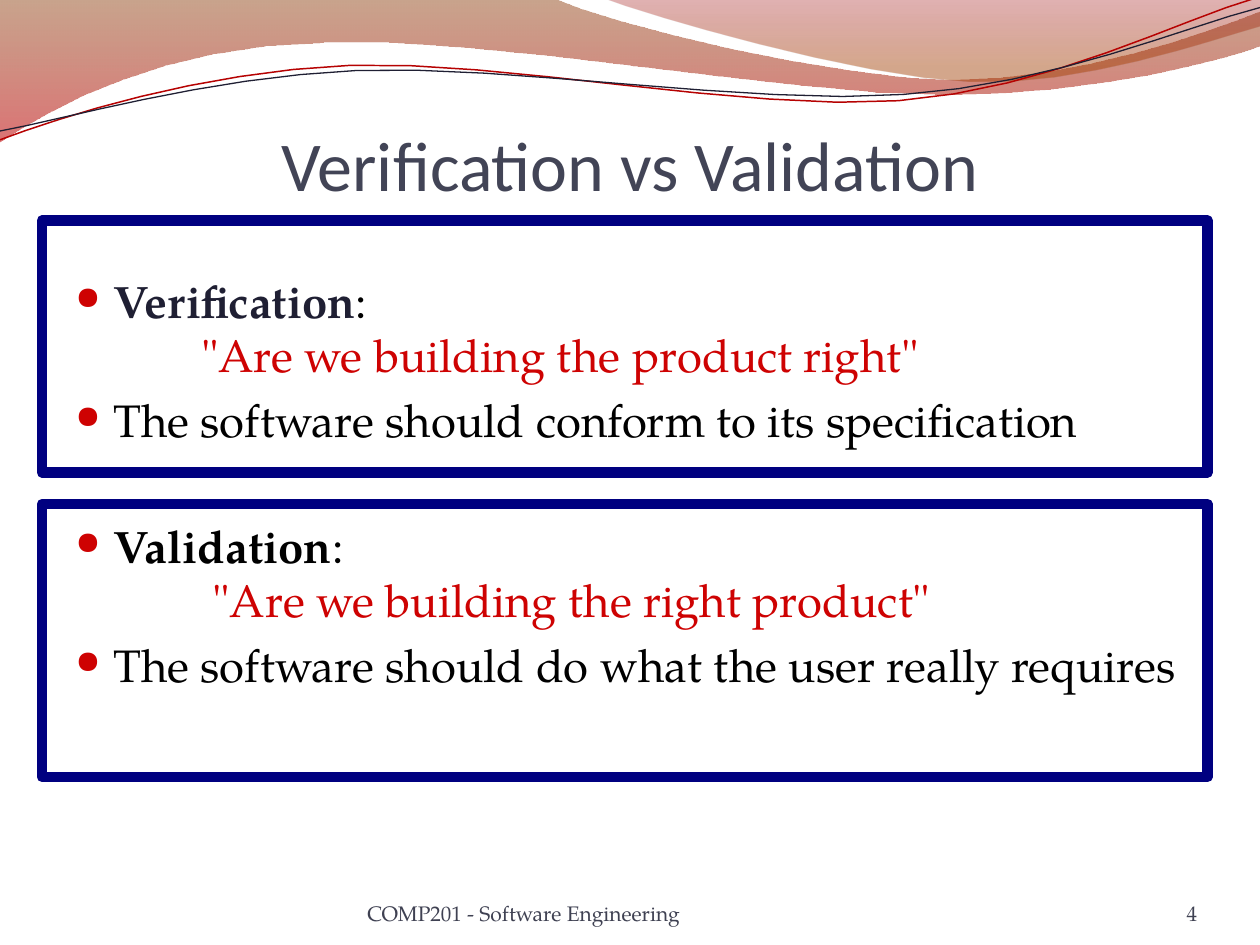
import pptx
import pptx.util
import pptx.dml.color
import pptx.enum.shapes
import pptx.enum.text
import pptx.oxml
import pptx.oxml.ns
import lxml.etree

deck = pptx.Presentation()
deck.slide_width = pptx.util.Inches(10)
deck.slide_height = pptx.util.Inches(7.5)
column = deck.slide_width / 120
row = deck.slide_height / 90
slide = deck.slides.add_slide(deck.slide_layouts[5])
drawing = slide.shapes
serif = "TeX Gyre Pagella"
Pt = pptx.util.Pt
align = pptx.enum.text.PP_ALIGN
bottom = pptx.enum.text.MSO_ANCHOR.BOTTOM


def hue(code):
    return pptx.dml.color.RGBColor.from_string(code)


def write(paragraph, words, code, **formats):
    run = paragraph.add_run()
    run.text = words
    run.font.color.rgb = hue(code)
    for name, value in formats.items():
        setattr(run.font, name, value)


waves = [
    dict(start=(-0.01, -0.01), steps=[
        (4.4, -0.01), (4.76, 0.17, 6.64, 0.63, 7.58, 0.63),
        (8.53, 0.63, 9.58, 0.26, 10, 0.09), (10.01, 0.36),
        (9.83, 0.44, 8.7, 0.76, 7.46, 0.75),
        (6.22, 0.75, 3.82, 0.28, 2.57, 0.34),
        (1.29, 0.36, 0.46, 0.83, -0.01, 1.13)],
        stops=[(0, "883400", 45), (1, "BD0000", 55)]),
    dict(start=(4.79, -0.01), steps=[
        (5.09, 0.11, 6.82, 0.62, 7.69, 0.65),
        (8.56, 0.69, 9.61, 0.32, 10, 0.21), (10, 0)],
        stops=[(0, "9A0000", 30), (0.8, "A23E00", 45)]),
    dict(start=(0, 1.11), steps=[
        (0.48, 0.93, 1.58, 0.57, 2.77, 0.52),
        (3.95, 0.47, 5.93, 0.89, 7.13, 0.8),
        (8.33, 0.71, 9.38, 0.15, 9.98, -0.02)], line=("B60202", 0.85)),
    dict(start=(0, 1.04), steps=[
        (0.47, 0.96, 1.64, 0.61, 2.83, 0.56),
        (4.03, 0.51, 5.97, 0.84, 7.17, 0.75),
        (8.36, 0.67, 9.41, 0.21, 10, 0.06)], line=("1F1F33", 0.75)),
]
pieces = 8
grain = 1000
for wave in waves:
    points = [wave["start"]]
    for step in wave["steps"]:
        if len(step) == 2:
            points.append(step)
            continue
        knots = [points[-1], step[:2], step[2:4], step[4:]]
        for part in range(1, pieces + 1):
            t = part / pieces
            weights = [(1 - t) ** 3, 3 * t * (1 - t) ** 2, 3 * t * t * (1 - t), t ** 3]
            points.append(tuple(sum(w * k[axis] for w, k in zip(weights, knots))
                                for axis in (0, 1)))
    points = [(round(x * grain), round(y * grain)) for x, y in points]
    outline = drawing.build_freeform(*points[0], scale=pptx.util.Inches(1) / grain)
    outline.add_line_segments(points[1:], close="stops" in wave)
    ribbon = outline.convert_to_shape()
    ribbon.shadow.inherit = False
    if "line" in wave:
        ribbon.fill.background()
        ribbon.line.color.rgb = hue(wave["line"][0])
        ribbon.line.width = Pt(wave["line"][1])
        continue
    ribbon.line.fill.background()
    ribbon.fill.gradient()
    ribbon.fill.gradient_angle = 270
    for stop, (place, code, opacity) in zip(ribbon.fill.gradient_stops, wave["stops"]):
        stop.position = place
        stop.color.rgb = hue(code)
    tints = ribbon.fill._xPr.iter(pptx.oxml.ns.qn("a:srgbClr"))
    for tint, (place, code, opacity) in zip(tints, wave["stops"]):
        lxml.etree.SubElement(tint, pptx.oxml.ns.qn("a:alpha"), val=str(opacity * 1000))

title = drawing.title
title.left, title.top = int(6 * column), int(9.2 * row)
title.width, title.height = int(108 * column), int(10.4 * row)
frame = title.text_frame
for name, value in dict(margin_left=0, margin_right=0, margin_bottom=0,
                        margin_top=Pt(3.6), vertical_anchor=bottom).items():
    setattr(frame, name, value)
frame.paragraphs[0].alignment = align.CENTER
write(frame.paragraphs[0], "Verification vs Validation", "424456",
      name="Calibri", size=Pt(40))

definitions = drawing.add_textbox(int(6 * column), int(25.4 * row),
                                  int(108 * column), int(57.6 * row)).text_frame
definitions.word_wrap = True
terms = [
    ("Verification", "1F1F33", ": ", "\t", '"Are we building the product right"',
     "The software should conform to its specification", 6),
    ("Validation", "000000", ":", "\t ", '"Are we building the right product"',
     "The software should do what the user really requires", 41),
]
body = dict(name=serif, size=Pt(26))
for term, code, colon, indent, question, meaning, gap in terms:
    first = definitions.paragraphs[0]
    heading = definitions.add_paragraph() if first.runs else first
    heading.space_before = Pt(gap)
    write(heading, term, code, bold=True, **body)
    write(heading, colon, "000000", **body)
    heading.add_line_break()
    write(heading, indent + question, "CE0202", **body)
    statement = definitions.add_paragraph()
    statement.space_before = Pt(5.5)
    write(statement, meaning, "000000", **body)

for paragraph in definitions.paragraphs:
    layout = paragraph._p.get_or_add_pPr()
    for name, inches in dict(marL=0.3, indent=-0.3, defTabSz=1).items():
        layout.set(name, str(pptx.util.Inches(inches)))
    color = lxml.etree.SubElement(layout, pptx.oxml.ns.qn("a:buClr"))
    lxml.etree.SubElement(color, pptx.oxml.ns.qn("a:srgbClr"), val="CE0202")
    lxml.etree.SubElement(layout, pptx.oxml.ns.qn("a:buSzPct"), val="70000")
    lxml.etree.SubElement(layout, pptx.oxml.ns.qn("a:buChar"), char="\u25cf")

for top, height in [(21, 24), (48, 26)]:
    border = drawing.add_shape(pptx.enum.shapes.MSO_SHAPE.RECTANGLE, int(4 * column),
                               int(top * row), int(111 * column), int(height * row))
    border.shadow.inherit = False
    border.fill.background()
    border.line.color.rgb = hue("000080")
    border.line.width = Pt(6)

for left, width, words, side in [(104, 10, "4", align.RIGHT),
                                 (35, 44, "COMP201 - Software Engineering", align.LEFT)]:
    footer = drawing.add_textbox(int(left * column), int(83.4 * row),
                                 int(width * column), int(4.8 * row)).text_frame
    for name, value in dict(margin_left=0, margin_right=0, margin_top=0, margin_bottom=0,
                            word_wrap=True, vertical_anchor=bottom).items():
        setattr(footer, name, value)
    footer.paragraphs[0].alignment = side
    write(footer.paragraphs[0], words, "3F4152", name=serif, size=Pt(12))

deck.save("out.pptx")
